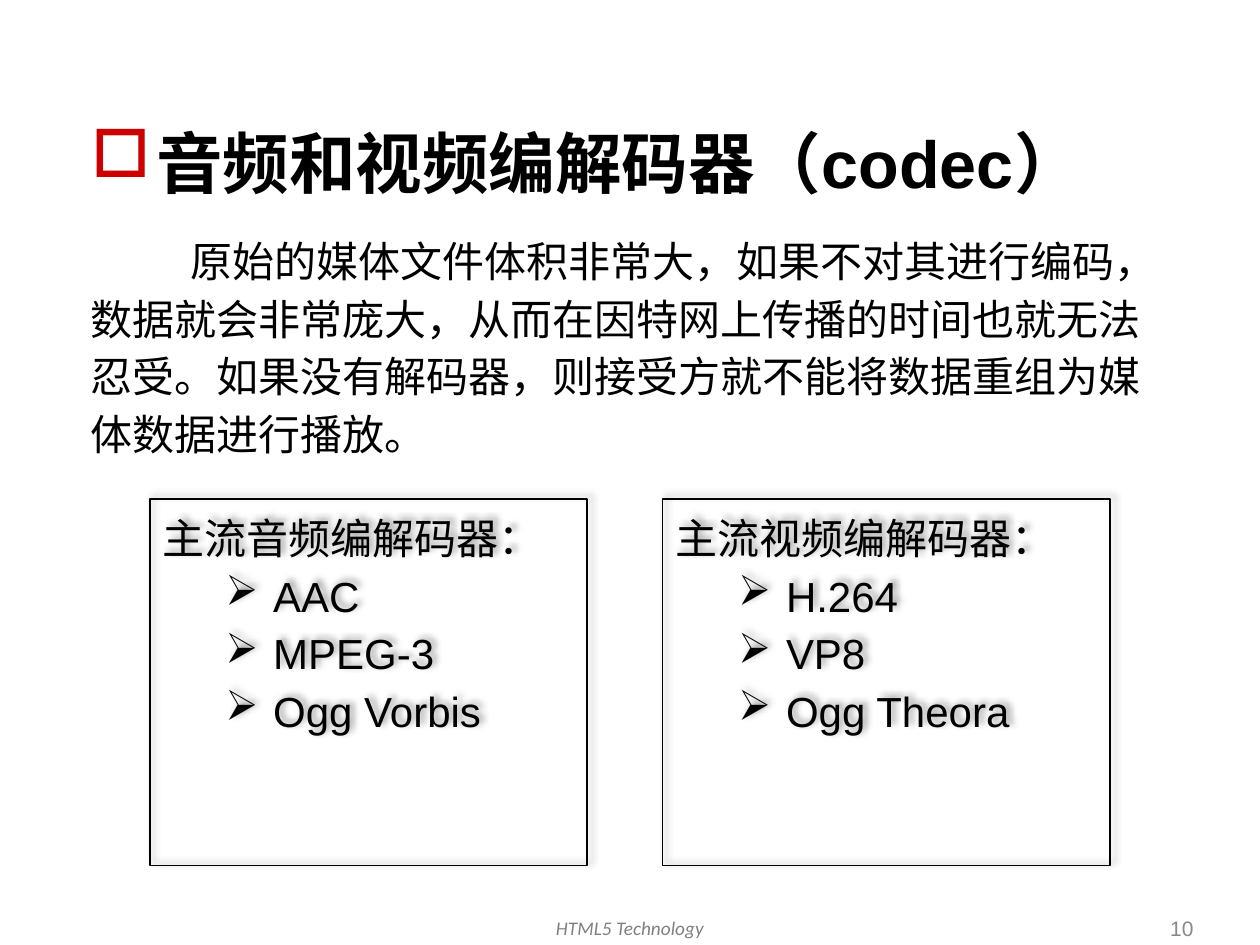
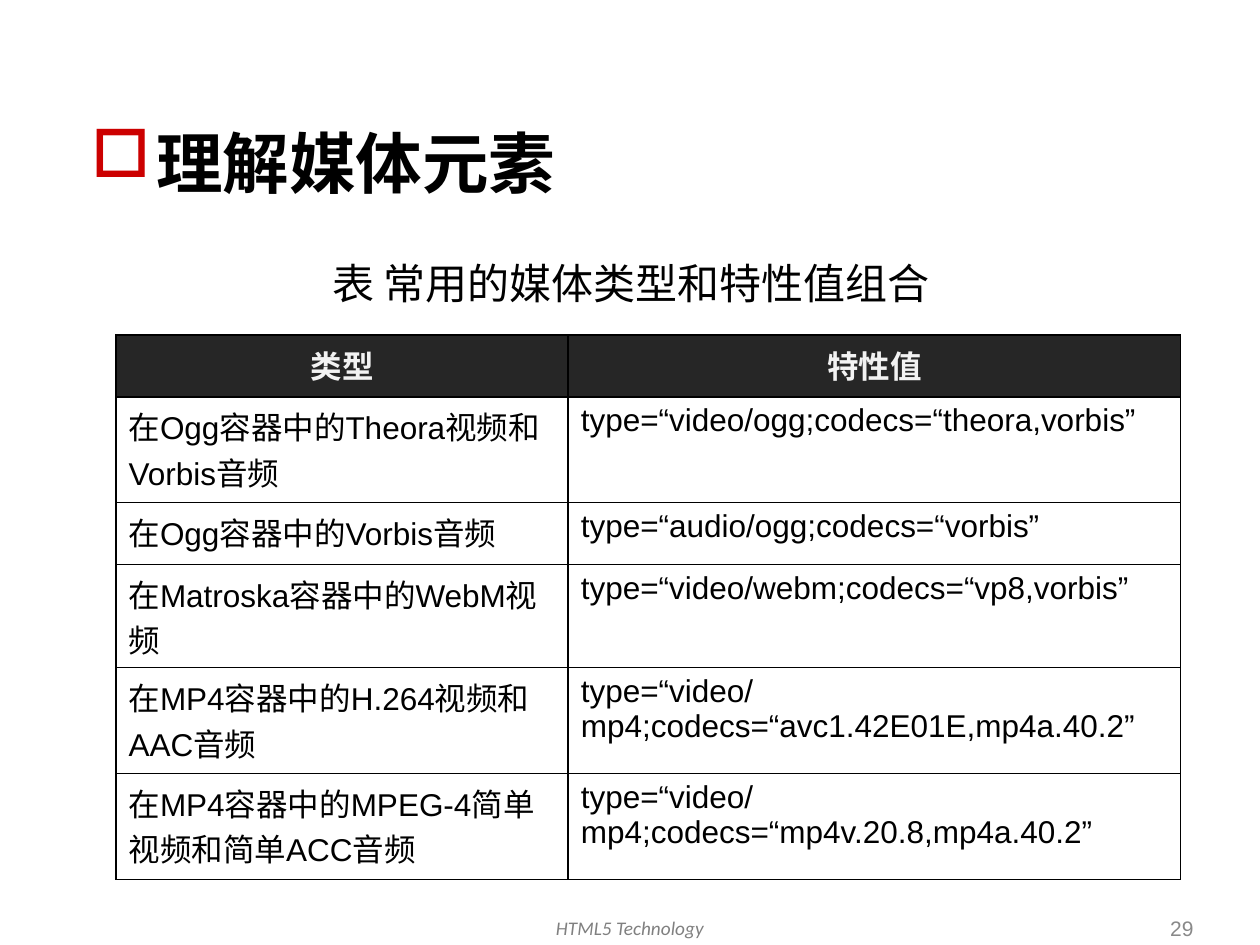
from lxml import etree
from pptx import Presentation
from pptx.dml.color import RGBColor
from pptx.enum.shapes import MSO_SHAPE
from pptx.enum.text import MSO_ANCHOR, PP_ALIGN
from pptx.oxml import parse_xml
from pptx.oxml.ns import nsdecls, qn
from pptx.util import Inches, Pt

LEFT, CENTER, RIGHT = PP_ALIGN.LEFT, PP_ALIGN.CENTER, PP_ALIGN.RIGHT
TOP, MIDDLE = MSO_ANCHOR.TOP, MSO_ANCHOR.MIDDLE
RECTANGLE = MSO_SHAPE.RECTANGLE

BLACK, RED, HEADER_FILL, HEADER_TEXT = "000000", "CC0000", "262626", "F2F2F2"
FOOTER_GREY, NUMBER_GREY = "808080", "898989"
LATIN, CJK, FOOTER_FONT = "Arial", "Noto Sans CJK SC", "Calibri"
BODY_SIZE, BODY_LEADING = 24, Pt(33)


def write(paragraph, text, size, face=LATIN, color=BLACK, bold=False, italic=False,
          align=LEFT, leading=None, margin=0, indent=0, bullet=None, bullet_color=BLACK):
    """Fill one paragraph and set its font, spacing, indents and bullet."""
    paragraph.text = text
    paragraph.alignment = align
    if leading:
        paragraph.line_spacing = leading
    font = paragraph.font
    font.size, font.name, font.bold, font.italic = Pt(size), face, bold, italic
    font.color.rgb = RGBColor.from_string(color)
    props = paragraph._p.get_or_add_pPr()
    props.set("marL", str(Inches(margin)))
    props.set("indent", str(Inches(indent)))
    defaults = props.find(qn("a:defRPr"))
    etree.SubElement(defaults, qn("a:ea"), typeface=CJK)
    if bullet:
        defaults.addprevious(parse_xml(
            f'<a:buClr {nsdecls("a")}><a:srgbClr val="{bullet_color}"/></a:buClr>'))
        defaults.addprevious(parse_xml(f'<a:buChar {nsdecls("a")} char="{bullet}"/>'))


def add_text(slide, left, top, width, height, text, size, anchor=TOP, **style):
    """Add a wrapping text box with one paragraph."""
    frame = slide.shapes.add_textbox(
        Inches(left), Inches(top), Inches(width), Inches(height)).text_frame
    frame.word_wrap = True
    frame.vertical_anchor = anchor
    write(frame.paragraphs[0], text, size, **style)


deck = Presentation()
deck.slide_width, deck.slide_height = Inches(10), Inches(7.5)

# Title, lead text, footer and page number of each slide
pages = [
    ("音频和视频编解码器（codec）", "10", (0.62, 1.76, 8.75, 2.01),
     "原始的媒体文件体积非常大，如果不对其进行编码，数据就会非常庞大，"
     "从而在因特网上传播的时间也就无法忍受。如果没有解码器，"
     "则接受方就不能将数据重组为媒体数据进行播放。"),
    ("理解媒体元素", "29", (1.75, 1.94, 6.19, 0.6), "表 常用的媒体类型和特性值组合"),
]
for title, number, lead_place, lead in pages:
    slide = deck.slides.add_slide(deck.slide_layouts[6])
    add_text(slide, 0.63, 0.92, 8.75, 0.67, title, 38, bold=True,
             margin=0.51, indent=-0.51, bullet="□", bullet_color=RED)
    add_text(slide, *lead_place, lead, BODY_SIZE, face=CJK,
             leading=BODY_LEADING, indent=0.79)
    add_text(slide, 3.22, 7.22, 3.56, 0.33, "HTML5 Technology", 11,
             face=FOOTER_FONT, color=FOOTER_GREY, italic=True, align=CENTER)
    add_text(slide, 7.32, 7.22, 2.25, 0.29, number, 12, anchor=MIDDLE,
             color=NUMBER_GREY, align=RIGHT)

codec_slide, types_slide = deck.slides

# Codec boxes: audio and video
codec_boxes = [
    (1.19, 3.47, "主流音频编解码器：", ["AAC", "MPEG-3", "Ogg Vorbis"]),
    (5.26, 3.55, "主流视频编解码器：", ["H.264", "VP8", "Ogg Theora"]),
]
for left, width, heading, codecs in codec_boxes:
    box = codec_slide.shapes.add_shape(
        RECTANGLE, Inches(left), Inches(3.96), Inches(width), Inches(2.91))
    box.fill.background()
    box.line.color.rgb = RGBColor.from_string(BLACK)
    box.line.width = Pt(0.75)
    box.shadow.inherit = False
    box._element.spPr.find(qn("a:effectLst")).append(parse_xml(
        f'<a:outerShdw {nsdecls("a")} blurRad="{Pt(4)}" dist="{Pt(3)}" dir="18900000">'
        f'<a:srgbClr val="{BLACK}"><a:alpha val="40000"/></a:srgbClr></a:outerShdw>'))
    frame = box.text_frame
    frame.word_wrap = True
    frame.vertical_anchor = TOP
    write(frame.paragraphs[0], heading, BODY_SIZE, face=CJK, leading=BODY_LEADING)
    for codec in codecs:
        item = frame.add_paragraph()
        item.level = 1
        write(item, codec, BODY_SIZE, leading=BODY_LEADING,
              margin=0.88, indent=-0.38, bullet="➢")

# Table of media types
media_types = [
    ("类型", "特性值"),
    ("在Ogg容器中的Theora视频和Vorbis音频", "type=“video/ogg;codecs=“theora,vorbis”"),
    ("在Ogg容器中的Vorbis音频", "type=“audio/ogg;codecs=“vorbis”"),
    ("在Matroska容器中的WebM视频", "type=“video/webm;codecs=“vp8,vorbis”"),
    ("在MP4容器中的H.264视频和AAC音频",
     "type=“video/mp4;codecs=“avc1.42E01E,mp4a.40.2”"),
    ("在MP4容器中的MPEG-4简单视频和简单ACC音频",
     "type=“video/mp4;codecs=“mp4v.20.8,mp4a.40.2”"),
]
row_heights = [0.49, 0.84, 0.49, 0.82, 0.84, 0.84]
column_widths = [3.59, 4.86]
table = types_slide.shapes.add_table(
    len(media_types), len(column_widths), Inches(0.92), Inches(2.66),
    Inches(sum(column_widths)), Inches(sum(row_heights))).table
table.first_row = table.horz_banding = False
for column, width in zip(table.columns, column_widths):
    column.width = Inches(width)
for r, (row, height) in enumerate(zip(media_types, row_heights)):
    table.rows[r].height = Inches(height)
    for c, text in enumerate(row):
        cell = table.cell(r, c)
        for side in ("lnL", "lnR", "lnT", "lnB"):
            cell._tc.get_or_add_tcPr().append(parse_xml(
                f'<a:{side} {nsdecls("a")} w="{Pt(1)}"><a:solidFill>'
                f'<a:srgbClr val="{BLACK}"/></a:solidFill></a:{side}>'))
        paragraph = cell.text_frame.paragraphs[0]
        if r == 0:
            cell.fill.solid()
            cell.fill.fore_color.rgb = RGBColor.from_string(HEADER_FILL)
            write(paragraph, text, 18, color=HEADER_TEXT, bold=True, align=CENTER)
        else:
            cell.fill.background()
            write(paragraph, text, 18)

deck.save("out.pptx")
